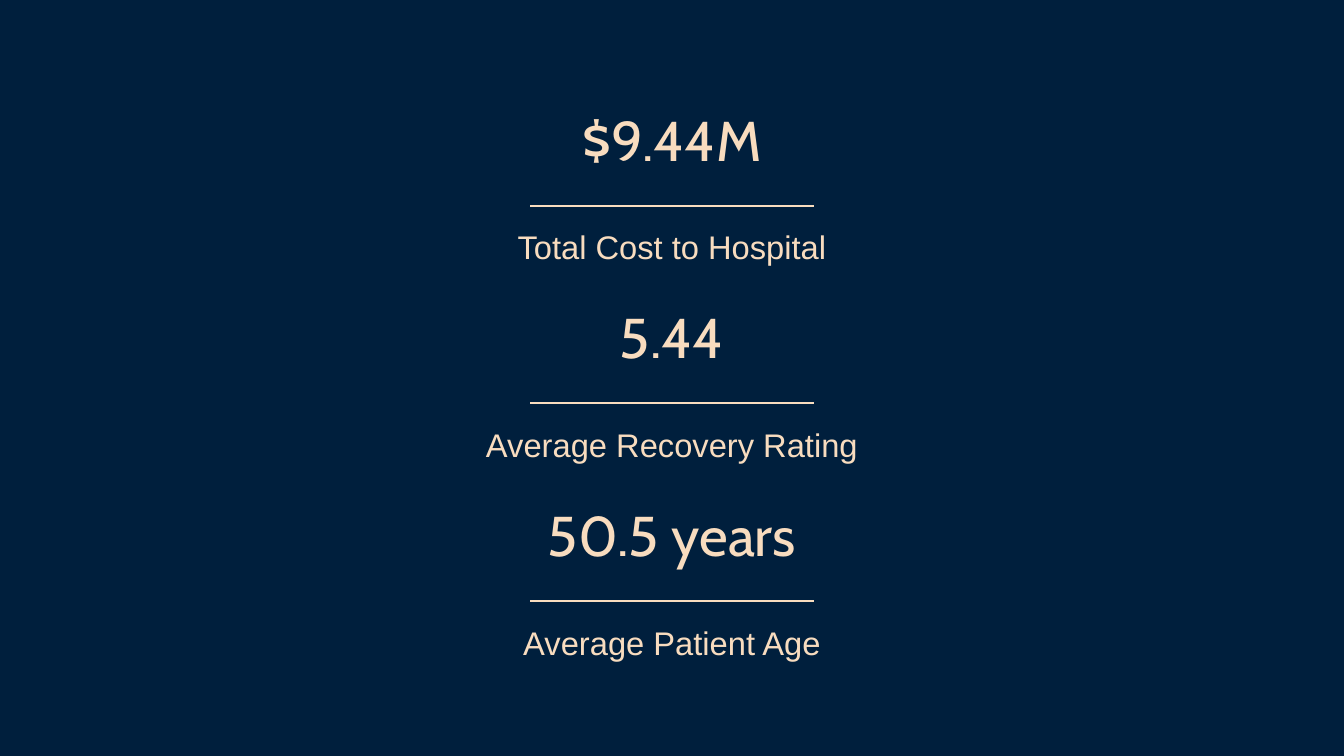
from dataclasses import dataclass

from lxml import etree
from pptx import Presentation
from pptx.dml.color import RGBColor
from pptx.enum.shapes import MSO_CONNECTOR
from pptx.enum.text import MSO_AUTO_SIZE, PP_ALIGN
from pptx.oxml.ns import qn
from pptx.util import Pt

STRAIGHT = MSO_CONNECTOR.STRAIGHT
CENTER = PP_ALIGN.CENTER
GROW = MSO_AUTO_SIZE.SHAPE_TO_FIT_TEXT

PAGE_WIDTH, PAGE_HEIGHT = 1440, 810
TEXT_WIDTH, RULE_WIDTH = 882, 304
FIRST_TOP, METRIC_PITCH = 118.8, 211.7
RULE_OFFSET, LABEL_OFFSET = 101.5, 124.6

METRICS = [
    ("$9.44M", "Total Cost to Hospital"),
    ("5.44", "Average Recovery Rating"),
    ("50.5 years", "Average Patient Age"),
]


@dataclass(frozen=True)
class TextStyle:
    font: str
    size: float
    leading: float
    height: float


@dataclass(frozen=True)
class Theme:
    background: RGBColor = RGBColor(0x00, 0x1F, 0x3D)
    accent: RGBColor = RGBColor(0xF8, 0xDC, 0xBF)
    rule_weight: float = 2
    value: TextStyle = TextStyle("Cabin", 60, 66, 75.6)
    label: TextStyle = TextStyle("Arial", 35, 42, 42.5)


class MetricPage:
    def __init__(self, deck, theme):
        self.theme = theme
        self.page = deck.slides.add_slide(deck.slide_layouts[6])
        fill = self.page.background.fill
        fill.solid()
        fill.fore_color.rgb = theme.background

    def text(self, shapes, top, content, style):
        left = (PAGE_WIDTH - TEXT_WIDTH) / 2
        box = shapes.add_textbox(Pt(left), Pt(top), Pt(TEXT_WIDTH), Pt(style.height))
        frame = box.text_frame
        frame.word_wrap = True
        frame.auto_size = GROW
        frame.margin_left = frame.margin_right = 0
        frame.margin_top = frame.margin_bottom = 0
        para = frame.paragraphs[0]
        para.alignment = CENTER
        para.line_spacing = Pt(style.leading)
        span = para.add_run()
        span.text = content
        span.font.name = style.font
        span.font.size = Pt(style.size)
        span.font.color.rgb = self.theme.accent

    def rule(self, shapes, y):
        left = (PAGE_WIDTH - RULE_WIDTH) / 2
        line = shapes.add_connector(STRAIGHT, Pt(left + RULE_WIDTH), Pt(y), Pt(left), Pt(y))
        line.line.color.rgb = self.theme.accent
        line.line.width = Pt(self.theme.rule_weight)
        etree.SubElement(line._element.spPr, qn("a:effectLst"))

    def metric(self, top, value, label):
        shapes = self.page.shapes.add_group_shape().shapes
        self.rule(shapes, top + RULE_OFFSET)
        self.text(shapes, top, value, self.theme.value)
        self.text(shapes, top + LABEL_OFFSET, label, self.theme.label)


def main():
    deck = Presentation()
    deck.slide_width, deck.slide_height = Pt(PAGE_WIDTH), Pt(PAGE_HEIGHT)
    page = MetricPage(deck, Theme())
    for index, (value, label) in enumerate(METRICS):
        page.metric(FIRST_TOP + index * METRIC_PITCH, value, label)
    deck.save("out.pptx")


if __name__ == "__main__":
    main()
